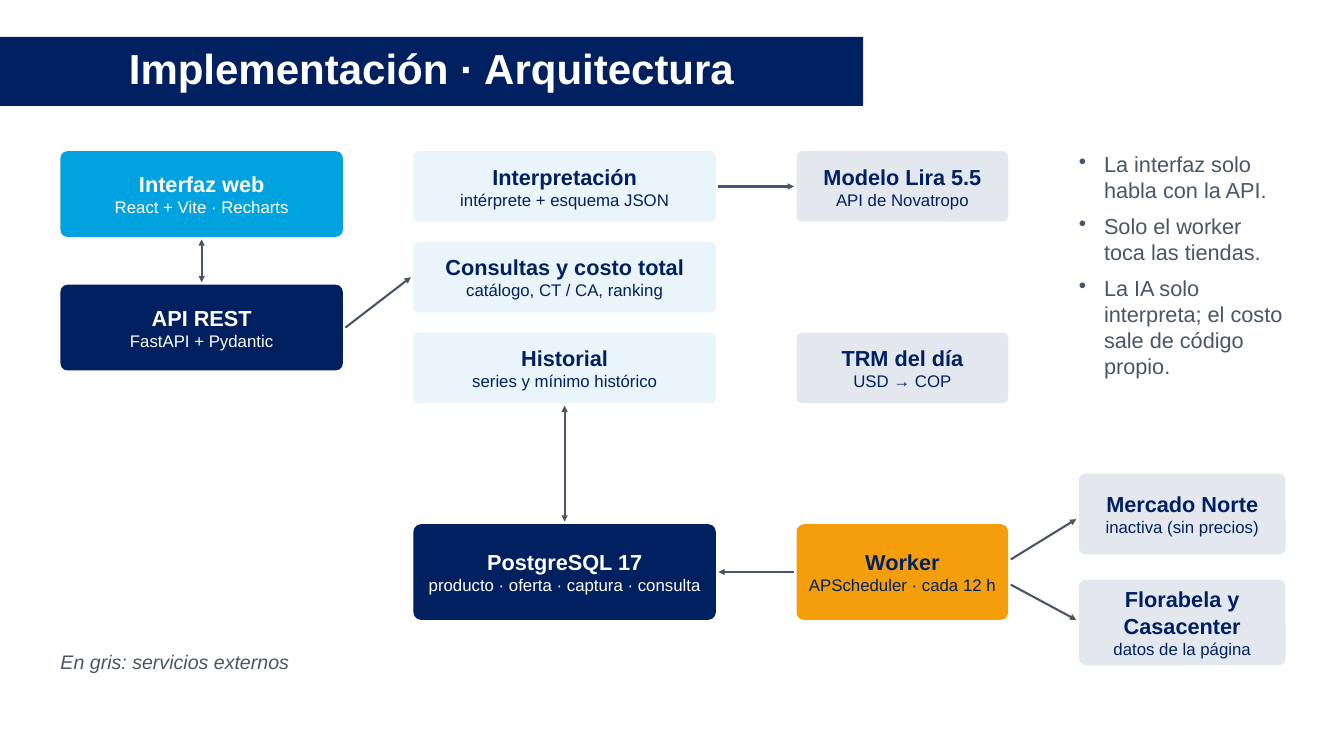
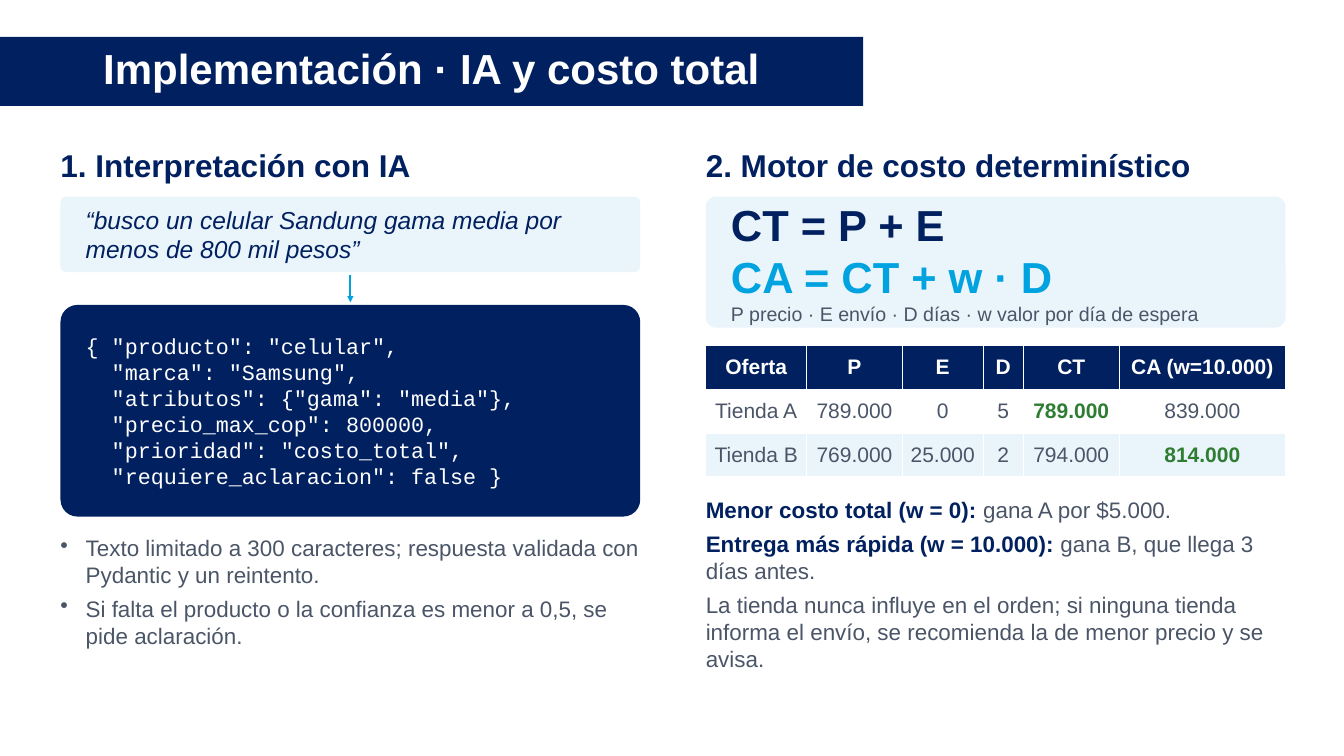
"""Builds the two implementation slides: architecture, and AI with total cost."""
import dataclasses

import lxml.etree
import pptx
import pptx.dml.color
import pptx.enum.shapes
import pptx.enum.text
import pptx.oxml.ns
import pptx.util

EMU_PER_PX = 9144
SLIDE_WIDTH, SLIDE_HEIGHT = 2666, 1500
CORNER = 0.08
ARROW_GAP = 5
COLORS = {
    "navy": "002060",
    "cyan": "00A3E0",
    "ice": "EAF4FB",
    "gray": "E3E8EF",
    "slate": "4A5568",
    "amber": "F59E0B",
    "green": "2E7D32",
    "white": "FFFFFF",
}
ALIGN = pptx.enum.text.PP_ALIGN
ANCHOR = pptx.enum.text.MSO_ANCHOR
SHAPE = pptx.enum.shapes.MSO_SHAPE


@dataclasses.dataclass
class Box:
    x: int
    y: int
    w: int
    h: int

    def inner(self, x, y, w, h):
        """Return a box placed relative to this one."""
        return Box(self.x + x, self.y + y, w, h)

    def emu(self):
        """Return left, top, width and height in EMU."""
        return [px(length) for length in (self.x, self.y, self.w, self.h)]

    def side(self, name, shift=0):
        """Return the arrow point just outside the middle of a side."""
        middle_x, middle_y = self.x + self.w // 2, self.y + self.h // 2
        return {
            "left": (self.x - ARROW_GAP, middle_y + shift),
            "right": (self.x + self.w + ARROW_GAP, middle_y + shift),
            "top": (middle_x + shift, self.y - ARROW_GAP),
            "bottom": (middle_x + shift, self.y + self.h + ARROW_GAP),
        }[name]


def px(length):
    """Turn px into EMU."""
    return pptx.util.Emu(round(length * EMU_PER_PX))


def rgb(color):
    """Return a named colour."""
    return pptx.dml.color.RGBColor.from_string(COLORS[color])


def add_tag(parent, tag, **attributes):
    """Append a DrawingML element."""
    return lxml.etree.SubElement(parent, pptx.oxml.ns.qn(tag), attributes)


def set_font(font, size, color, bold=False, italic=False, name="Arial"):
    """Set all font traits in use."""
    font.name, font.size, font.bold, font.italic = name, pptx.util.Pt(size), bold, italic
    font.color.rgb = rgb(color)


def add_line(frame, text, size, color, align=ALIGN.LEFT, after=0, bullet=False, lead="", **traits):
    """Write one paragraph, with an optional bullet or bold lead-in."""
    line = frame.paragraphs[0] if not frame.text else frame.add_paragraph()
    line.alignment = align
    if after:
        line.space_after = pptx.util.Pt(after)
    if bullet:
        properties = line._p.get_or_add_pPr()
        properties.set("marL", str(px(50)))
        properties.set("indent", str(px(-50)))
        add_tag(properties, "a:buChar", char="•")
    if lead:
        lead_run = line.add_run()
        lead_run.text = lead
        set_font(lead_run.font, size, "navy", bold=True)
    line.add_run().text = text
    set_font(line.font, size, color, **traits)
    return line


def prepare_frame(frame, anchor, side=0):
    """Wrap the text and set its anchor and side margins."""
    frame.word_wrap = True
    frame.vertical_anchor = anchor
    frame.margin_left = frame.margin_right = px(side)
    frame.margin_top = frame.margin_bottom = 0
    return frame


def add_text(slide, box):
    """Add a top-anchored text area without margins."""
    return prepare_frame(slide.shapes.add_textbox(*box.emu()).text_frame, ANCHOR.TOP)


def add_block(slide, box, fill, outline=SHAPE.RECTANGLE):
    """Add a plain filled shape."""
    block = slide.shapes.add_shape(outline, *box.emu())
    block.shadow.inherit = False
    block.fill.solid()
    block.fill.fore_color.rgb = rgb(fill)
    block.line.fill.background()
    return block


def add_panel(slide, box, fill, side):
    """Add a rounded panel and return its text frame."""
    panel = add_block(slide, box, fill, SHAPE.ROUNDED_RECTANGLE)
    panel.adjustments[0] = CORNER
    corner_inset = CORNER * 0.29 * min(box.w, box.h)
    return prepare_frame(panel.text_frame, ANCHOR.MIDDLE, side - corner_inset)


def add_card(slide, box, fill, name, detail):
    """Add a component card with name and detail; return its box."""
    frame = add_panel(slide, box, fill, side=15)
    color = "white" if fill in ("navy", "cyan") else "navy"
    add_line(frame, name, 31, color, ALIGN.CENTER, bold=True)
    add_line(frame, detail, 24, color, ALIGN.CENTER)
    return box


def add_arrow(slide, start, end, color="slate", both=False):
    """Draw an arrow between two points."""
    arrow = slide.shapes.add_connector(
        pptx.enum.shapes.MSO_CONNECTOR.STRAIGHT, *[px(value) for value in (*start, *end)])
    arrow.line.color.rgb = rgb(color)
    arrow.line.width = pptx.util.Pt(3)
    properties = arrow._element.spPr
    stroke = properties.find(pptx.oxml.ns.qn("a:ln"))
    if both:
        add_tag(stroke, "a:headEnd", type="triangle")
    add_tag(stroke, "a:tailEnd", type="triangle")
    add_tag(properties, "a:effectLst")


def add_titled_slide(deck, title):
    """Add a blank slide with the title band."""
    slide = deck.slides.add_slide(deck.slide_layouts[6])
    band = add_block(slide, Box(0, 73, 1712, 137), "navy")
    frame = prepare_frame(band.text_frame, ANCHOR.MIDDLE, side=10)
    add_line(frame, title, 60, "white", ALIGN.CENTER, bold=True).line_spacing = 0.9
    return slide


def draw_architecture(slide, area):
    """Draw the component diagram."""
    web = add_card(slide, area.inner(0, 0, 560, 170), "cyan",
                   "Interfaz web", "React + Vite · Recharts")
    api = add_card(slide, area.inner(0, 265, 560, 170), "navy",
                   "API REST", "FastAPI + Pydantic")
    services = [
        ("Interpretación", "intérprete + esquema JSON"),
        ("Consultas y costo total", "catálogo, CT / CA, ranking"),
        ("Historial", "series y mínimo histórico"),
    ]
    interpretation, queries, history = [
        add_card(slide, area.inner(700, row * 180, 600, 140), "ice", *labels)
        for row, labels in enumerate(services)]
    database = add_card(slide, area.inner(700, 740, 600, 190), "navy",
                        "PostgreSQL 17", "producto · oferta · captura · consulta")
    model = add_card(slide, area.inner(1460, 0, 420, 140), "gray",
                     "Modelo Lira 5.5", "API de Novatropo")
    add_card(slide, area.inner(1460, 360, 420, 140), "gray", "TRM del día", "USD → COP")
    worker = add_card(slide, area.inner(1460, 740, 420, 190), "amber",
                      "Worker", "APScheduler · cada 12 h")
    marketplace = add_card(slide, area.inner(2020, 640, 410, 160), "gray",
                           "Mercado Norte", "inactiva (sin precios)")
    stores = add_card(slide, area.inner(2020, 850, 410, 170), "gray",
                      "Florabela y Casacenter", "datos de la página")

    add_arrow(slide, web.side("bottom"), api.side("top"), both=True)
    add_arrow(slide, api.side("right"), queries.side("left"))
    add_arrow(slide, history.side("bottom"), database.side("top"), both=True)
    add_arrow(slide, worker.side("left"), database.side("right"))
    add_arrow(slide, worker.side("right", -25), marketplace.side("left", 10))
    add_arrow(slide, worker.side("right", 25), stores.side("left", -5))
    add_arrow(slide, interpretation.side("right"), model.side("left"))


def draw_architecture_notes(slide, area):
    """Write the design rules and the colour key."""
    rules = add_text(slide, area.inner(2020, 0, 410, 600))
    for rule in ("La interfaz solo habla con la API.",
                 "Solo el worker toca las tiendas.",
                 "La IA solo interpreta; el costo sale de código propio."):
        add_line(rules, rule, 31, "slate", after=14, bullet=True)
    key = add_text(slide, area.inner(0, 990, 600, 60))
    add_line(key, "En gris: servicios externos", 28, "slate", italic=True)


def draw_heading(slide, column, heading):
    """Write a column heading."""
    add_line(add_text(slide, column.inner(0, 0, column.w, 80)), heading, 45, "navy", bold=True)


def draw_interpretation(slide, column):
    """Show a request, its interpretation and the safeguards."""
    draw_heading(slide, column, "1. Interpretación con IA")
    request = column.inner(0, 100, column.w, 150)
    add_line(add_panel(slide, request, "ice", side=50),
             "“busco un celular Sandung gama media por menos de 800 mil pesos”",
             35, "navy", italic=True)
    answer = column.inner(0, 315, column.w, 420)
    code = add_panel(slide, answer, "navy", side=50)
    for code_line in ('{ "producto": "celular",',
                      '  "marca": "Samsung",',
                      '  "atributos": {"gama": "media"},',
                      '  "precio_max_cop": 800000,',
                      '  "prioridad": "costo_total",',
                      '  "requiere_aclaracion": false }'):
        add_line(code, code_line, 31, "white", name="Courier New")
    add_arrow(slide, request.side("bottom"), answer.side("top"), "cyan")
    safeguards = add_text(slide, column.inner(0, 770, column.w, 320))
    for safeguard in (
            "Texto limitado a 300 caracteres; respuesta validada con Pydantic y un reintento.",
            "Si falta el producto o la confianza es menor a 0,5, se pide aclaración."):
        add_line(safeguards, safeguard, 32, "slate", after=10, bullet=True)


def draw_offers(slide, box):
    """Compare the offers in a table, best costs in green."""
    offers = [
        ("Oferta", "P", "E", "D", "CT", "CA (w=10.000)"),
        ("Tienda A", "789.000", "0", "5", "789.000", "839.000"),
        ("Tienda B", "769.000", "25.000", "2", "794.000", "814.000"),
    ]
    best = {(1, 4), (2, 5)}
    fills = ("navy", "white", "ice")
    table = slide.shapes.add_table(len(offers), len(offers[0]), *box.emu()).table
    table.horz_banding = False
    for column, width in zip(table.columns, (200, 190, 160, 80, 190, 330)):
        column.width = px(width)
    for row, values in enumerate(offers):
        table.rows[row].height = px(box.h / len(offers))
        for col, value in enumerate(values):
            cell = table.cell(row, col)
            cell.fill.solid()
            cell.fill.fore_color.rgb = rgb(fills[row])
            cell.vertical_anchor = ANCHOR.MIDDLE
            color = "white" if row == 0 else "green" if (row, col) in best else "slate"
            add_line(cell.text_frame, value, 30, color, ALIGN.CENTER, bold=color != "slate")


def draw_cost_engine(slide, column):
    """Show the cost formulas, the offers and the conclusions."""
    draw_heading(slide, column, "2. Motor de costo determinístico")
    formulas = add_panel(slide, column.inner(0, 100, column.w, 260), "ice", side=50)
    add_line(formulas, "CT = P + E", 62, "navy", bold=True)
    add_line(formulas, "CA = CT + w · D", 62, "cyan", bold=True)
    add_line(formulas, "P precio · E envío · D días · w valor por día de espera", 28, "slate")
    draw_offers(slide, column.inner(0, 395, column.w, 261))
    conclusions = add_text(slide, column.inner(0, 695, column.w, 400))
    for lead, conclusion in (
            ("Menor costo total (w = 0): ", "gana A por $5.000."),
            ("Entrega más rápida (w = 10.000): ", "gana B, que llega 3 días antes."),
            ("", "La tienda nunca influye en el orden; si ninguna tienda informa el envío, "
                 "se recomienda la de menor precio y se avisa.")):
        add_line(conclusions, conclusion, 32, "slate", after=10, lead=lead)


def main():
    """Build and save the deck."""
    deck = pptx.Presentation()
    deck.slide_width, deck.slide_height = px(SLIDE_WIDTH), px(SLIDE_HEIGHT)

    architecture = add_titled_slide(deck, "Implementación · Arquitectura")
    area = Box(120, 300, 2430, 1050)
    draw_architecture(architecture, area)
    draw_architecture_notes(architecture, area)

    costs = add_titled_slide(deck, "Implementación · IA y costo total")
    draw_interpretation(costs, Box(120, 290, 1150, 1100))
    draw_cost_engine(costs, Box(1400, 290, 1150, 1100))

    deck.save("out.pptx")


if __name__ == "__main__":
    main()
